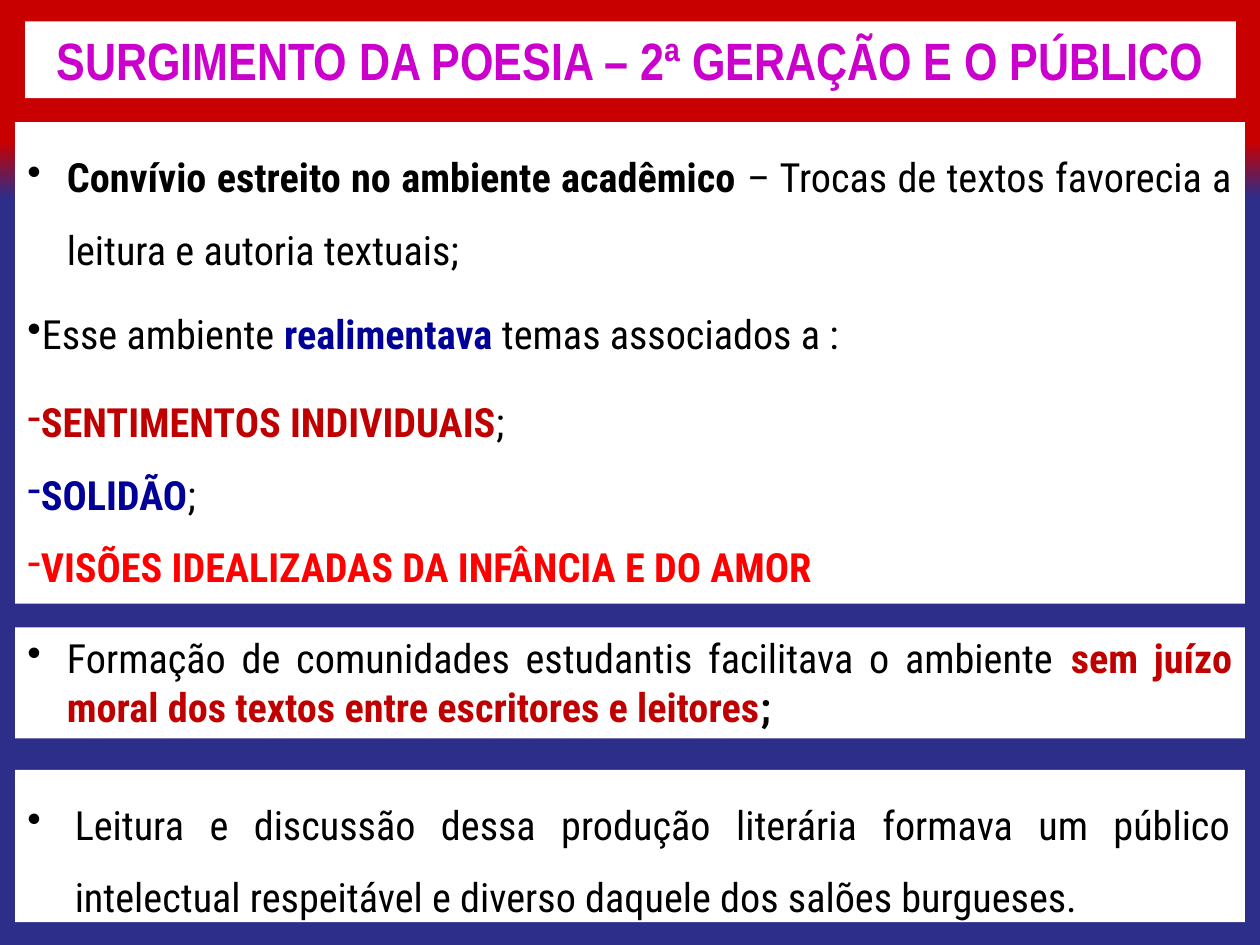
from dataclasses import dataclass

import lxml.etree
import pptx
import pptx.dml.color
import pptx.enum.shapes
import pptx.enum.text
import pptx.oxml.ns
import pptx.util

Pt = pptx.util.Pt
Align = pptx.enum.text.PP_ALIGN
Anchor = pptx.enum.text.MSO_ANCHOR


@dataclass(frozen=True)
class Theme:
    title_font: str = "Arial Narrow"
    body_font: str = "Roboto Condensed"
    title_size: float = 30
    body_size: float = 23
    white: str = "FFFFFF"
    black: str = "000000"
    magenta: str = "CC00CC"
    navy: str = "000099"
    dark_red: str = "C00000"
    red: str = "FF0000"
    background_top: str = "C80000"
    background_bottom: str = "2D2D8A"


THEME = Theme()


@dataclass(frozen=True)
class Span:
    text: str
    color: str = THEME.black
    bold: bool = False


@dataclass(frozen=True)
class Item:
    spans: tuple[Span, ...]
    bullet: str = "•"
    margin: float = 22.5
    indent: float = -22.5
    line_spacing: float = 1.5
    space_before: float = 0


@dataclass(frozen=True)
class Panel:
    top: float
    height: float
    items: tuple[Item, ...]


PANEL_LEFT, PANEL_WIDTH = 8.64, 702.72


def topic(text: str, color: str, ending: str = "", space_before: float = 0) -> Item:
    """A dashed theme, in bold colour with a plain ending."""
    spans = (Span(text, color, True),) + ((Span(ending),) if ending else ())
    return Item(spans, "-", margin=3, space_before=space_before)


PANELS = (
    Panel(69.84, 275.04, (
        Item((Span("Convívio estreito no ambiente acadêmico ", bold=True),
              Span("– Trocas de textos favorecia a leitura e autoria textuais;"))),
        Item((Span("Esse ambiente "), Span("realimentava ", THEME.navy, True),
              Span("temas associados a :")), margin=3, space_before=7),
        topic("SENTIMENTOS INDIVIDUAIS", THEME.dark_red, ";", space_before=9),
        topic("SOLIDÃO", THEME.navy, ";"),
        topic("VISÕES IDEALIZADAS DA INFÂNCIA E DO AMOR", THEME.red),
    )),
    Panel(358.56, 63.36, (
        Item((Span("Formação de comunidades estudantis facilitava o ambiente "),
              Span("sem juízo moral dos textos entre escritores e leitores", THEME.dark_red, True),
              Span(";", bold=True)), line_spacing=1),
    )),
    Panel(439.92, 87.12, (
        Item((Span("Leitura e discussão dessa produção literária formava um público "
                   "intelectual respeitável e diverso daquele dos salões burgueses."),),
             margin=27, indent=-27),
    )),
)


def rgb(color: str) -> pptx.dml.color.RGBColor:
    return pptx.dml.color.RGBColor.from_string(color)


def format_run(run, font: str, size: float, color: str, bold: bool) -> None:
    run.font.name = font
    run.font.size = Pt(size)
    run.font.color.rgb = rgb(color)
    run.font.bold = bold


def fill_white(shape) -> None:
    shape.fill.solid()
    shape.fill.fore_color.rgb = rgb(THEME.white)


def paint_background(slide) -> None:
    fill = slide.background.fill
    fill.gradient()
    fill.gradient_angle = 270
    stops = ((0.15, THEME.background_top), (0.21, THEME.background_bottom))
    for stop, (position, color) in zip(fill.gradient_stops, stops):
        stop.position = position
        stop.color.rgb = rgb(color)


def write_title(slide, text: str) -> None:
    title = slide.shapes.title
    title.left, title.top, title.width, title.height = Pt(14.4), Pt(12.24), Pt(691.92), Pt(43.92)
    fill_white(title)
    frame = title.text_frame
    frame.text = text
    frame.word_wrap = True
    frame.auto_size = pptx.enum.text.MSO_AUTO_SIZE.NONE
    frame.vertical_anchor = Anchor.MIDDLE
    paragraph = frame.paragraphs[0]
    paragraph.alignment = Align.CENTER
    format_run(paragraph.runs[0], THEME.title_font, THEME.title_size, THEME.magenta, True)


def write_item(paragraph, item: Item) -> None:
    paragraph.alignment = Align.JUSTIFY
    paragraph.line_spacing = item.line_spacing
    paragraph.space_before = Pt(item.space_before)
    # Bullet and hanging indent
    properties = paragraph._p.get_or_add_pPr()
    properties.set("marL", str(Pt(item.margin)))
    properties.set("indent", str(Pt(item.indent)))
    bullet = lxml.etree.SubElement(properties, pptx.oxml.ns.qn("a:buChar"))
    bullet.set("char", item.bullet)
    for span in item.spans:
        run = paragraph.add_run()
        run.text = span.text
        format_run(run, THEME.body_font, THEME.body_size, span.color, span.bold)


def draw_panel(slide, panel: Panel) -> None:
    shape = slide.shapes.add_shape(
        pptx.enum.shapes.MSO_SHAPE.RECTANGLE,
        Pt(PANEL_LEFT), Pt(panel.top), Pt(PANEL_WIDTH), Pt(panel.height))
    shape.shadow.inherit = False
    fill_white(shape)
    shape.line.fill.background()
    frame = shape.text_frame
    frame.word_wrap = True
    frame.vertical_anchor = Anchor.TOP
    for index, item in enumerate(panel.items):
        write_item(frame.add_paragraph() if index else frame.paragraphs[0], item)


def main() -> None:
    presentation = pptx.Presentation()
    presentation.slide_width, presentation.slide_height = Pt(720), Pt(540)
    title_only = presentation.slide_layouts[5]
    slide = presentation.slides.add_slide(title_only)
    paint_background(slide)
    write_title(slide, "SURGIMENTO DA POESIA – 2ª GERAÇÃO E O PÚBLICO")
    for panel in PANELS:
        draw_panel(slide, panel)
    presentation.save("out.pptx")


if __name__ == "__main__":
    main()
